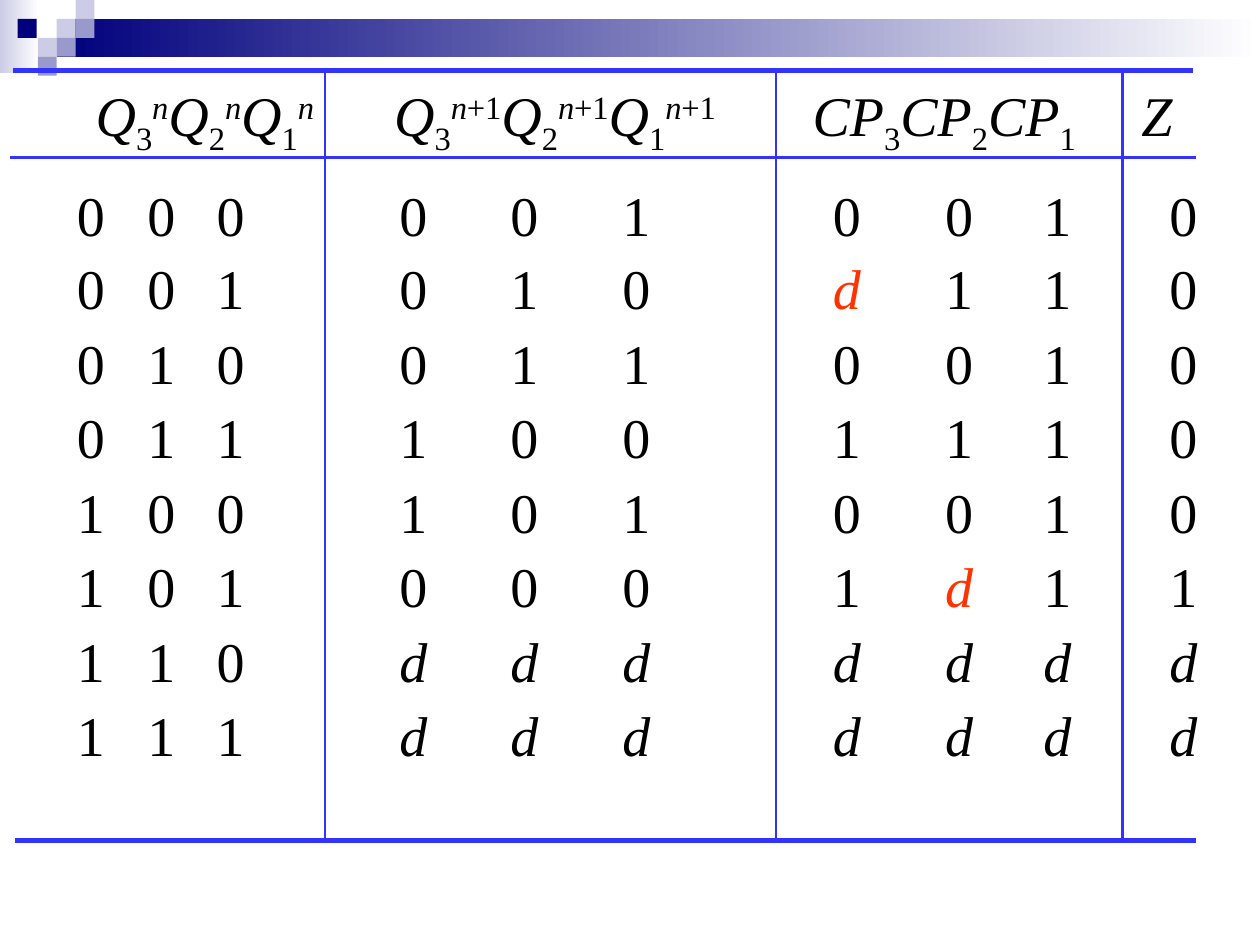
import pptx
import pptx.dml.color
import pptx.enum.shapes
import pptx.oxml
import pptx.oxml.ns
import pptx.util
from pptx.util import Inches

COLORS = {
    "navy": "00007D",
    "lavender": "CCCCE6",
    "violet": "9999CC",
    "white": "FFFFFF",
    "rule": "3333FF",
    "text": "000000",
    "highlight": "FF3300",
}
FONT = "Times New Roman"
SQUARE = 0.15
SQUARES = [
    (0.45, 0.15, "lavender"),
    (0.6, 0, "lavender"),
    (0.6, 0.15, "violet"),
    (0.3, 0.3, "lavender"),
    (0.14, 0.15, "navy"),
    (0.45, 0.3, "violet"),
    (0.3, 0.45, "violet"),
]
TRUTH_ROWS = [
    "0000010010",
    "001010d110",
    "0100110010",
    "0111001110",
    "1001010010",
    "1010001d11",
    "110ddddddd",
    "111ddddddd",
]
HIGHLIGHTED = {(1, 6), (5, 7)}
VALUE_TABS = [0.56, 1.11, 2.56, 3.44, 4.33, 6, 6.89, 7.67, 8.67]
HEADER_TABS = [2.37, 5.69, 8.3]
RULES = [
    (0.08, 1.25, 9.49, 1.25, 1.5),
    (2.58, 0.58, 2.58, 6.65, 1.5),
    (6.16, 0.58, 6.16, 6.67, 1.5),
    (8.91, 0.58, 8.91, 6.65, 1.5),
    (0.12, 6.67, 9.49, 6.67, 3),
    (0.1, 0.56, 9.47, 0.56, 3),
]


def rgb(name):
    return pptx.dml.color.RGBColor.from_string(COLORS[name])


def add_rectangle(slide, left, top, width, height, color, fades=False):
    """Draw a borderless rectangle; a fading one turns white to the right."""
    shape = slide.shapes.add_shape(
        pptx.enum.shapes.MSO_SHAPE.RECTANGLE,
        Inches(left), Inches(top), Inches(width), Inches(height))
    shape.shadow.inherit = False
    shape.line.fill.background()
    if fades:
        shape.fill.gradient()
        shape.fill.gradient_angle = 180
        for stop, name in zip(shape.fill.gradient_stops, ("white", color)):
            stop.color.rgb = rgb(name)
    else:
        shape.fill.solid()
        shape.fill.fore_color.rgb = rgb(color)


def add_rule(slide, x1, y1, x2, y2, width):
    line = slide.shapes.add_connector(
        pptx.enum.shapes.MSO_CONNECTOR.STRAIGHT,
        Inches(x1), Inches(y1), Inches(x2), Inches(y2))
    line.line.color.rgb = rgb("rule")
    line.line.width = pptx.util.Pt(width)
    pptx.oxml.ns.qn("a:effectLst")
    line._element.spPr.append(pptx.oxml.parse_xml(
        "<a:effectLst %s/>" % pptx.oxml.ns.nsdecls("a")))


def add_tabs(paragraph, positions):
    stops = "".join('<a:tab pos="%d" algn="l"/>' % Inches(position)
                    for position in positions)
    paragraph._p.get_or_add_pPr().append(pptx.oxml.parse_xml(
        "<a:tabLst %s>%s</a:tabLst>" % (pptx.oxml.ns.nsdecls("a"), stops)))


def add_run(paragraph, text, italic=False, baseline=0, color="text", size=32):
    run = paragraph.add_run()
    run.text = text
    run.font.name = FONT
    run.font.size = pptx.util.Pt(size)
    run.font.italic = italic
    run.font.color.rgb = rgb(color)
    if baseline:
        run.font._element.set("baseline", str(baseline * 1000))


def add_text(slide, box, lines, tabs, inset=0.1, space_before=0, spacing=1.0):
    """Write lines, each a list of (text, format) runs, on shared tab stops."""
    shape = slide.shapes.add_textbox(*[Inches(value) for value in box])
    frame = shape.text_frame
    frame.word_wrap = True
    frame.margin_left = Inches(inset)
    for index, runs in enumerate(lines):
        paragraph = frame.add_paragraph() if index else frame.paragraphs[0]
        if index:
            paragraph.space_before = pptx.util.Pt(space_before)
            paragraph.line_spacing = spacing
        add_tabs(paragraph, tabs)
        for text, style in runs:
            add_run(paragraph, text, **style)


def header_runs():
    def symbols(name, superscript=()):
        return [run for digit in "321"
                for run in [(name, {"italic": True}),
                            (digit, {"baseline": -25}), *superscript]]

    tab = [("\t", {})]
    present = [("n", {"italic": True, "baseline": 30})]
    following = present + [("+1", {"baseline": 30})]
    return (symbols("Q", present) + tab + symbols("Q", following) + tab
            + symbols("CP") + tab + [("Z", {"italic": True})])


def value_runs(row, values):
    runs = []
    for column, value in enumerate(values):
        color = "highlight" if (row, column) in HIGHLIGHTED else "text"
        text = "\t" + value if column else value
        runs.append((text, {"italic": value == "d", "color": color}))
    return runs


def main():
    presentation = pptx.Presentation()
    presentation.slide_width = Inches(10)
    presentation.slide_height = Inches(7.5)
    slide = presentation.slides.add_slide(presentation.slide_layouts[6])

    add_rectangle(slide, 0, 0, 0.31, 0.58, "lavender", fades=True)
    add_rectangle(slide, 0.45, 0.15, 9.55, 0.3, "navy", fades=True)
    for left, top, color in SQUARES:
        add_rectangle(slide, left, top, SQUARE, SQUARE, color)

    rows = [value_runs(row, values) for row, values in enumerate(TRUTH_ROWS)]
    add_text(slide, (0.29, 1.38, 9.71, 5.15), rows, VALUE_TABS,
             inset=0.32, space_before=8, spacing=0.9)
    add_text(slide, (0.66, 0.59, 8.75, 0.71), [header_runs()], HEADER_TABS)
    for rule in RULES:
        add_rule(slide, *rule)
    presentation.save("out.pptx")


if __name__ == "__main__":
    main()
